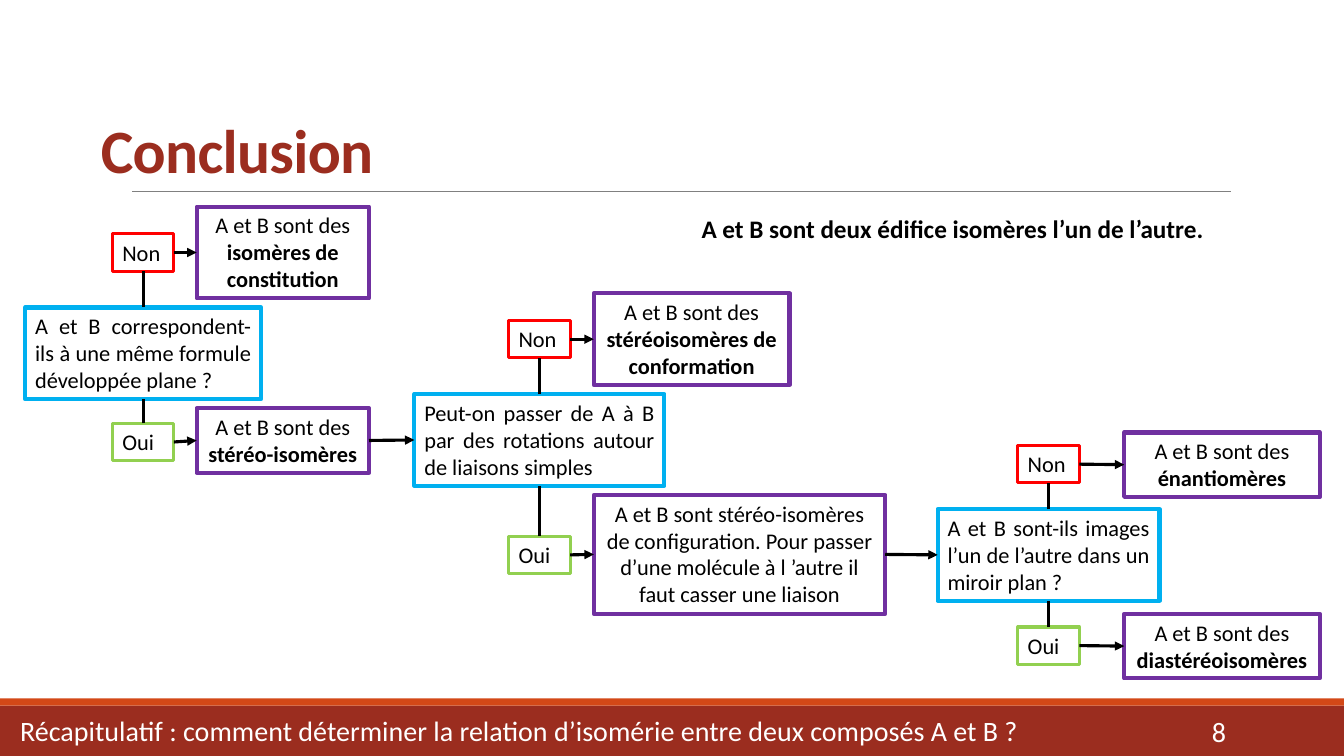
from pptx import Presentation
from pptx.dml.color import RGBColor
from pptx.enum.shapes import MSO_CONNECTOR, MSO_SHAPE
from pptx.enum.text import MSO_ANCHOR, MSO_AUTO_SIZE, PP_ALIGN
from pptx.oxml.ns import qn
from pptx.util import Inches, Pt
from lxml.etree import SubElement

BRICK = RGBColor(0x9B, 0x2D, 0x1F)
ORANGE = RGBColor(0xD3, 0x48, 0x17)
GRAY = RGBColor(0x80, 0x80, 0x80)
BLACK = RGBColor(0x00, 0x00, 0x00)
WHITE = RGBColor(0xFF, 0xFF, 0xFF)
BLUE = RGBColor(0x00, 0xB0, 0xF0)
PURPLE = RGBColor(0x70, 0x30, 0xA0)
RED = RGBColor(0xFF, 0x00, 0x00)
GREEN = RGBColor(0x92, 0xD0, 0x50)

TOP, LEFT, BOTTOM, RIGHT = range(4)
ANSWER_W, ANSWER_H = 0.61, 0.37


def add_box(at, runs, color=None, width=3, size=16, align=PP_ALIGN.LEFT,
            font_color=BLACK, anchor=MSO_ANCHOR.TOP):
    at = [Inches(v) for v in at]
    if color is None:
        sp = s.shapes.add_textbox(*at)
    else:
        sp = s.shapes.add_shape(MSO_SHAPE.RECTANGLE, *at)
        sp.shadow.inherit = False
        sp.fill.background()
        sp.line.color.rgb = color
        sp.line.width = Pt(width)
    tf = sp.text_frame
    tf.word_wrap = True
    tf.vertical_anchor = anchor
    p = tf.paragraphs[0]
    p.alignment = align
    for text, bold in runs:
        r = p.add_run()
        r.text = text
        r.font.color.rgb = font_color
        for name, value in {"name": "Calibri", "size": Pt(size), "bold": bold}.items():
            setattr(r.font, name, value)
    return sp


def add_line(start, end, color=BLACK, width=2.25, arrow=False):
    c = s.shapes.add_connector(MSO_CONNECTOR.STRAIGHT, Inches(1.31), Inches(1.9),
                               Inches(12.21), Inches(1.9))
    if start:
        c.begin_connect(*start)
        c.end_connect(*end)
    c.line.color.rgb = color
    c.line.width = Pt(width)
    if arrow:
        SubElement(c.line._get_or_add_ln(), qn("a:tailEnd"), type="triangle")
    SubElement(c._element.spPr, qn("a:effectLst"))


prs = Presentation()
prs.slide_width = Inches(13.33)
prs.slide_height = Inches(7.5)
s = prs.slides.add_slide(prs.slide_layouts[5])

for top, height, color in [(7, 0.5, BRICK), (6.93, 0.07, ORANGE)]:
    band = s.shapes.add_shape(MSO_SHAPE.RECTANGLE, 0, Inches(top), prs.slide_width, Inches(height))
    band.shadow.inherit = False
    band.fill.solid()
    band.fill.fore_color.rgb = color
    band.line.fill.background()
add_line(None, None, GRAY, 0.5)

title = s.shapes.title
for name, value in {"left": 0.9, "top": 0.45, "width": 11.5, "height": 1.45}.items():
    setattr(title, name, Inches(value))
tf = title.text_frame
tf.text = "Conclusion"
tf.auto_size = MSO_AUTO_SIZE.NONE
tf.vertical_anchor = MSO_ANCHOR.BOTTOM
p = tf.paragraphs[0]
p.alignment = PP_ALIGN.LEFT
p.line_spacing = 0.85
r = p.runs[0]
for name, value in {"name": "Calibri", "size": Pt(44), "bold": True}.items():
    setattr(r.font, name, value)
r.font.color.rgb = BRICK
r.font._element.set("spc", "-50")

SONT = ("A et B sont des ", False)
stages = [
    ((0.25, 3.05, 2.34, 0.91), "A et B correspondent-ils à une même formule développée plane ?",
     [("Non", 2.32, (1.95, 2.05, 1.71, 0.91), [SONT, ("isomères de constitution", True)]),
      ("Oui", 4.2, (1.95, 4.05, 1.71, 0.64), [SONT, ("stéréo-isomères", True)])]),
    ((4.11, 3.91, 2.48, 0.91), "Peut-on passer de A à B par des rotations autour de liaisons simples",
     [("Non", 3.18, (5.89, 2.91, 1.94, 0.91), [SONT, ("stéréoisomères de conformation", True)]),
      ("Oui", 5.32, (5.89, 4.91, 2.89, 1.18),
       [("A et B sont stéréo-isomères de configuration. Pour passer d’une molécule "
         "à l ’autre il faut casser une liaison", False)])]),
    ((9.3, 5.05, 2.2, 0.91), "A et B sont-ils images l’un de l’autre dans un miroir plan ?",
     [("Non", 4.42, (11.15, 4.29, 1.94, 0.64), [SONT, ("énantiomères", True)]),
      ("Oui", 6.22, (11.15, 6.09, 1.94, 0.64), [SONT, ("diastéréoisomères", True)])]),
]

previous = None
for at, text, answers in stages:
    question = add_box(at, [(text, False)], BLUE, align=PP_ALIGN.JUSTIFY)
    if previous:
        add_line((previous, RIGHT), (question, LEFT), arrow=True)
    answer_x = at[0] + (at[2] - ANSWER_W) / 2
    for word, y, result_at, runs in answers:
        answer = add_box((answer_x, y, ANSWER_W, ANSWER_H), [(word, False)],
                         RED if word == "Non" else GREEN, 2.25)
        result = add_box(result_at, runs, PURPLE, align=PP_ALIGN.CENTER)
        if word == "Non":
            add_line((question, TOP), (answer, BOTTOM))
        else:
            add_line((answer, TOP), (question, BOTTOM))
        add_line((answer, RIGHT), (result, LEFT), arrow=True)
    previous = result

add_box((6.86, 2.07, 5.26, 0.4),
        [("A et B sont deux édifice isomères l’un de l’autre.", True)], size=18)
add_box((10.83, 7.06, 1.43, 0.4), [("8", False)], size=20, align=PP_ALIGN.RIGHT,
        font_color=WHITE, anchor=MSO_ANCHOR.MIDDLE)
recap = add_box((0, 7.07, 13.33, 0.46),
                [("Récapitulatif : comment déterminer la relation d’isomérie "
                  "entre deux composés A et B ?", False)], size=20, font_color=WHITE)
recap.text_frame.margin_left = Inches(0.2)
recap.text_frame.paragraphs[0].line_spacing = 0.9

prs.save("out.pptx")
